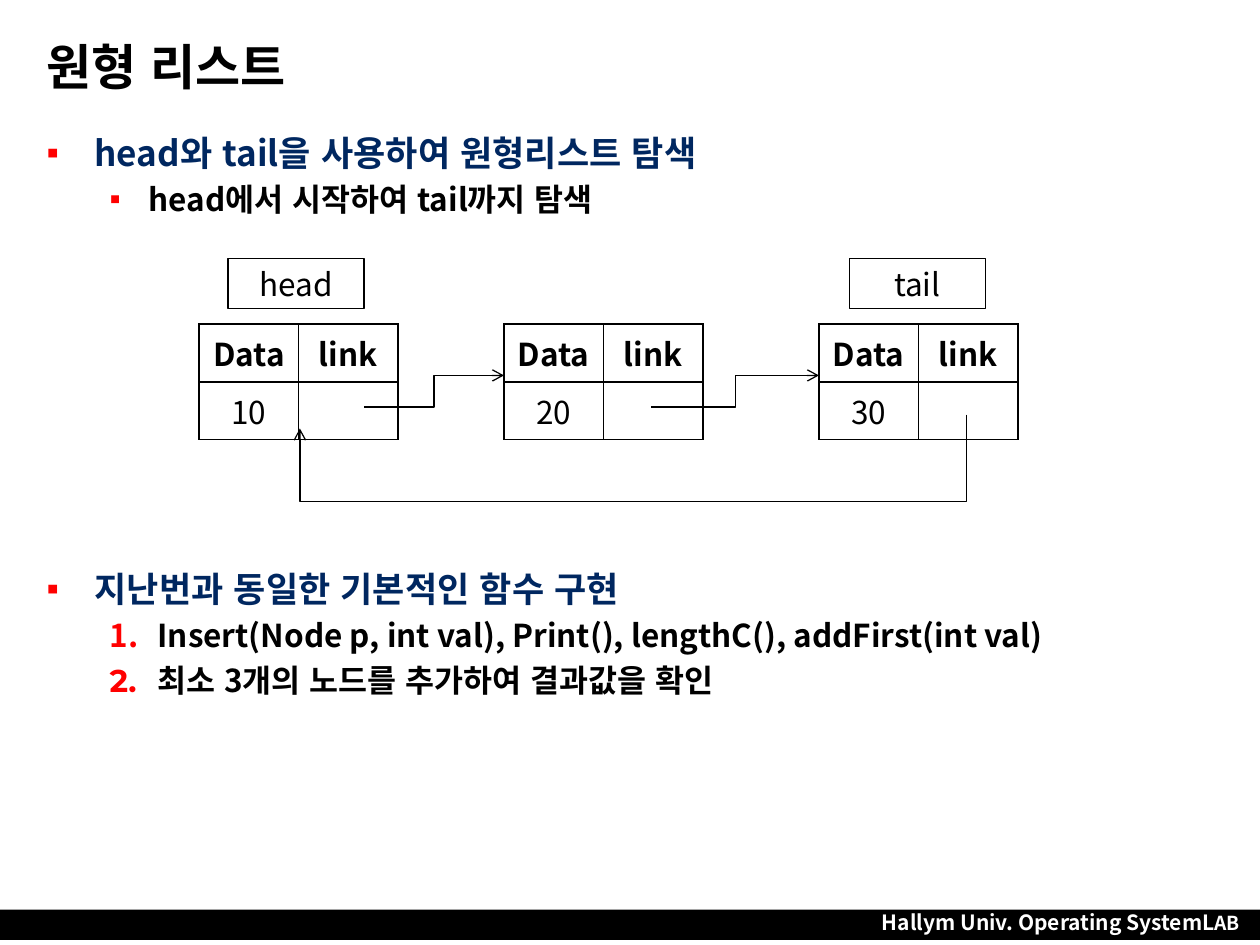
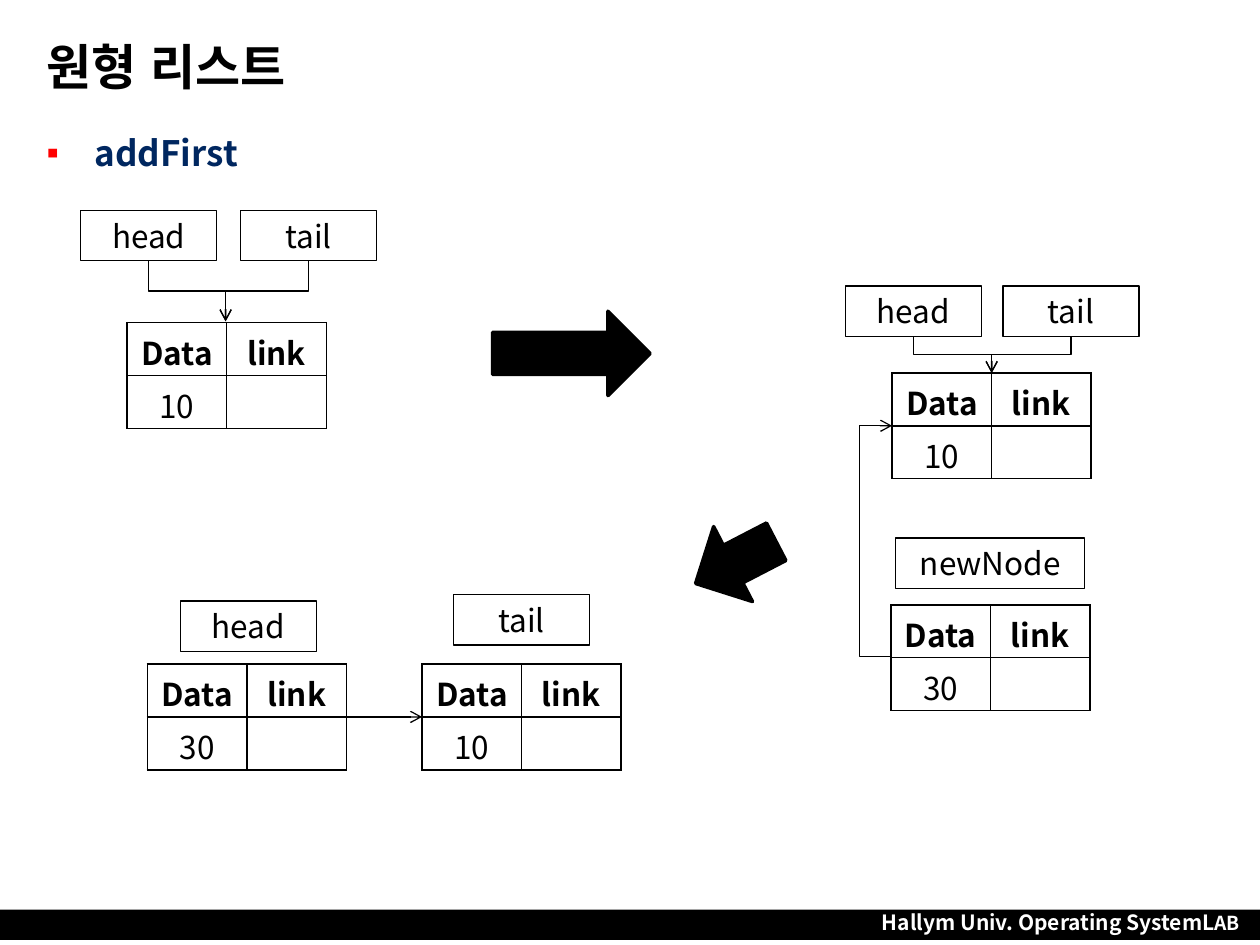
"""Builds two slides on circular linked lists with node diagrams."""
from lxml import etree
from pptx import Presentation
from pptx import util as u
from pptx.dml.color import RGBColor
from pptx.enum import shapes, text
from pptx.oxml.ns import qn

I = u.Inches
COLORS = {"ink": "000000", "paper": "FFFFFF", "navy": "002760", "bullet": "FF0000"}
BODY_FONT, TITLE_FONT = "Noto Sans CJK KR", "Montserrat"
TITLE = "원형 리스트"
COL_W, BOX_H = 0.79, 0.4
LEVELS = {
    "topic": dict(level=0, size=20, color="navy", left=0.38, hang=0.38),
    "point": dict(level=1, size=18, color="ink", left=0.81, hang=0.31),
    "step": dict(level=1, size=18, color="ink", left=0.88, hang=0.38),
}


def rgb(name):
    """Return a palette colour."""
    return RGBColor.from_string(COLORS[name])


def apply(target, **values):
    """Set each named attribute on the target."""
    for name, value in values.items():
        setattr(target, name, value)


def sub(parent, tag, **attrs):
    """Append a drawing element with attributes."""
    return etree.SubElement(parent, qn(tag), attrs)


def add_run(p, words, size, color="ink", bold=False, font=BODY_FONT):
    """Append a formatted run to a paragraph."""
    r = p.add_run()
    r.text = words
    apply(r.font, size=u.Pt(size), bold=bold, name=font)
    r.font.color.rgb = rgb(color)
    sub(r.font._element, "a:ea", typeface=TITLE_FONT)


def place(sp, left, top, width, height):
    """Move and resize a shape, in inches."""
    apply(sp, left=I(left), top=I(top), width=I(width), height=I(height))


def add_shape(s, kind, at, fill=None, line=None):
    """Add a flat preset shape with optional fill and line width."""
    sp = s.shapes.add_shape(kind, *map(I, at))
    sp.shadow.inherit = False
    if fill:
        sp.fill.solid()
        sp.fill.fore_color.rgb = rgb(fill)
    else:
        sp.fill.background()
    if line:
        sp.line.color.rgb = rgb("ink")
        sp.line.width = u.Pt(line)
    else:
        sp.line.fill.background()
    return sp


def add_footer(s):
    """Add the black band and the lab name."""
    add_shape(s, shapes.MSO_SHAPE.RECTANGLE, (0, 7.22, 10, 0.24), fill="ink")
    tf = s.shapes.add_textbox(I(6.88), I(7.17), I(3.08), I(0.3)).text_frame
    tf.word_wrap = False
    p = tf.paragraphs[0]
    p.alignment = text.PP_ALIGN.CENTER
    for words, size in (("Hallym Univ. Operating", 12), (" ", 11), ("SystemL", 12), ("AB", 11)):
        add_run(p, words, size, "paper", True)


def add_item(p, words, kind, before):
    """Fill a list paragraph with its bullet or number."""
    style = LEVELS[kind]
    apply(p, level=style["level"], line_spacing=1.0, space_before=u.Pt(before))
    pPr = p._p.get_or_add_pPr()
    pPr.set("marL", str(I(style["left"])))
    pPr.set("indent", str(-I(style["hang"])))
    sub(sub(pPr, "a:buClr"), "a:srgbClr", val=COLORS["bullet"])
    if kind == "step":
        sub(pPr, "a:buFont", typeface="+mj-lt")
        sub(pPr, "a:buAutoNum", type="arabicPeriod")
    else:
        sub(pPr, "a:buChar", char="▪")
    add_run(p, words, style["size"], style["color"], True)


def add_slide(prs, items):
    """Add a slide with footer, title and list."""
    s = prs.slides.add_slide(prs.slide_layouts[1])
    add_footer(s)
    title, body = s.placeholders
    place(title, 0.27, 0.13, 9.45, 0.79)
    title.text_frame.vertical_anchor = text.MSO_ANCHOR.MIDDLE
    p = title.text_frame.paragraphs[0]
    p.alignment = text.PP_ALIGN.LEFT
    add_run(p, TITLE, 28, bold=True, font=TITLE_FONT)
    place(body, 0.27, 0.99, 9.45, 5.9)
    tf = body.text_frame
    tf.auto_size = text.MSO_AUTO_SIZE.NONE
    for i, item in enumerate(items):
        add_item(tf.add_paragraph() if i else tf.paragraphs[0], *item)
    return s


def add_label(s, words, left, top, width=1.08):
    """Add an outlined pointer label."""
    sp = add_shape(s, shapes.MSO_SHAPE.RECTANGLE, (left, top, width, BOX_H), line=0.75)
    tf = sp.text_frame
    apply(tf, word_wrap=True, margin_top=0, margin_bottom=0,
          vertical_anchor=text.MSO_ANCHOR.MIDDLE)
    p = tf.paragraphs[0]
    p.alignment = text.PP_ALIGN.CENTER
    add_run(p, words, 18)


def add_node(s, value, left, top, row_h=0.42):
    """Add a list node as a two by two table."""
    table = s.shapes.add_table(2, 2, I(left), I(top), I(2 * COL_W), I(2 * row_h)).table
    apply(table, first_row=False, horz_banding=False)
    for col, row in zip(table.columns, table.rows):
        col.width, row.height = I(COL_W), I(row_h)
    for cell, words in zip(table.iter_cells(), ("Data", "link", value, "")):
        cell.margin_bottom = 0
        tcPr = cell._tc.get_or_add_tcPr()
        for side in ("a:lnL", "a:lnR", "a:lnT", "a:lnB"):
            ln = sub(tcPr, side, w=str(u.Pt(1)))
            sub(sub(ln, "a:solidFill"), "a:srgbClr", val=COLORS["ink"])
        cell.fill.background()
        p = cell.text_frame.paragraphs[0]
        p.alignment = text.PP_ALIGN.CENTER
        if words:
            add_run(p, words, 18, bold=words != value)


def add_link(s, start, end, kind=shapes.MSO_CONNECTOR.ELBOW, down=False, bend=None):
    """Add an arrow; an elbow may leave downwards and bend at a given position."""
    (x1, y1), (x2, y2) = start, end
    points = (x1, y1, x2, y2)
    turn = 1 if x2 < x1 else -1
    if down:
        cx, cy = (x1 + x2) / 2, (y1 + y2) / 2
        dx, dy = turn * (x2 - x1) / 2, turn * (y2 - y1) / 2
        points = (cx - dy, cy + dx, cx + dy, cy - dx)
    c = s.shapes.add_connector(kind, *map(I, points))
    c.line.color.rgb = rgb("ink")
    c.line.width = u.Pt(0.75)
    spPr = c._element.spPr
    sub(spPr.find(qn("a:ln")), "a:tailEnd", type="arrow")
    sub(spPr, "a:effectLst")
    if down:
        spPr.find(qn("a:xfrm")).set("rot", str((90 if turn == 1 else 270) * 60000))
    if bend is not None:
        a, b = (y1, y2) if down else (x1, x2)
        ratio = round((bend - a) / (b - a) * 100000)
        sub(spPr.find(qn("a:prstGeom")).find(qn("a:avLst")), "a:gd", name="adj1", fmla=f"val {ratio}")


def add_step_arrow(s, at, rotation=0):
    """Add a solid block arrow between stages."""
    sp = add_shape(s, shapes.MSO_SHAPE.RIGHT_ARROW, at, "ink", 2)
    sp.rotation = rotation


def build_traversal(prs):
    """Build the slide on walking from head to tail."""
    s = add_slide(prs, [
        ("head와 tail을 사용하여 원형리스트 탐색", "topic", 0),
        ("head에서 시작하여 tail까지 탐색", "point", 4),
        ("지난번과 동일한 기본적인 함수 구현", "topic", 199.5),
        ("Insert(Node p, int val), Print(), lengthC(), addFirst(int val)", "step", 4),
        ("최소 3개의 노드를 추가하여 결과값을 확인", "step", 4),
    ])
    for value, left in (("10", 1.58), ("20", 4), ("30", 6.5)):
        add_node(s, value, left, 2.57, 0.46)
    for words, left in (("head", 1.81), ("tail", 6.74)):
        add_label(s, words, left, 2.05)
    for x1, x2 in ((2.89, 4), (5.17, 6.5)):
        add_link(s, (x1, 3.23), (x2, 2.98))
    add_link(s, (7.67, 3.29), (2.38, 3.4), down=True, bend=3.98)


def build_add_first(prs):
    """Build the slide on inserting a node at the front."""
    s = add_slide(prs, [("addFirst", "topic", 0)])
    for value, left, top in (("10", 1.01, 2.56), ("10", 7.08, 2.96), ("30", 7.07, 4.8),
                             ("30", 1.17, 5.27), ("10", 3.35, 5.27)):
        add_node(s, value, left, top)
    for head, tail, top, node in ((0.64, 1.91, 1.67, (1.79, 2.55)),
                                  (6.71, 7.96, 2.27, (7.87, 2.96))):
        for words, left in (("head", head), ("tail", tail)):
            add_label(s, words, left, top)
            add_link(s, (left + 0.54, top + BOX_H), node, down=True)
    add_label(s, "newNode", 7.11, 4.27, 1.5)
    add_label(s, "head", 1.43, 4.77)
    add_label(s, "tail", 3.6, 4.72)
    add_link(s, (7.07, 5.21), (7.08, 3.38), bend=6.82)
    add_link(s, (2.75, 5.69), (3.35, 5.69), shapes.MSO_CONNECTOR.STRAIGHT)
    add_step_arrow(s, (3.91, 2.47, 1.25, 0.67))
    add_step_arrow(s, (5.48, 4.13, 0.72, 0.67), 152.6)


def main():
    """Build and save the presentation."""
    prs = Presentation()
    apply(prs, slide_width=I(10), slide_height=I(7.5))
    build_traversal(prs)
    build_add_first(prs)
    prs.save("out.pptx")


if __name__ == "__main__":
    main()
